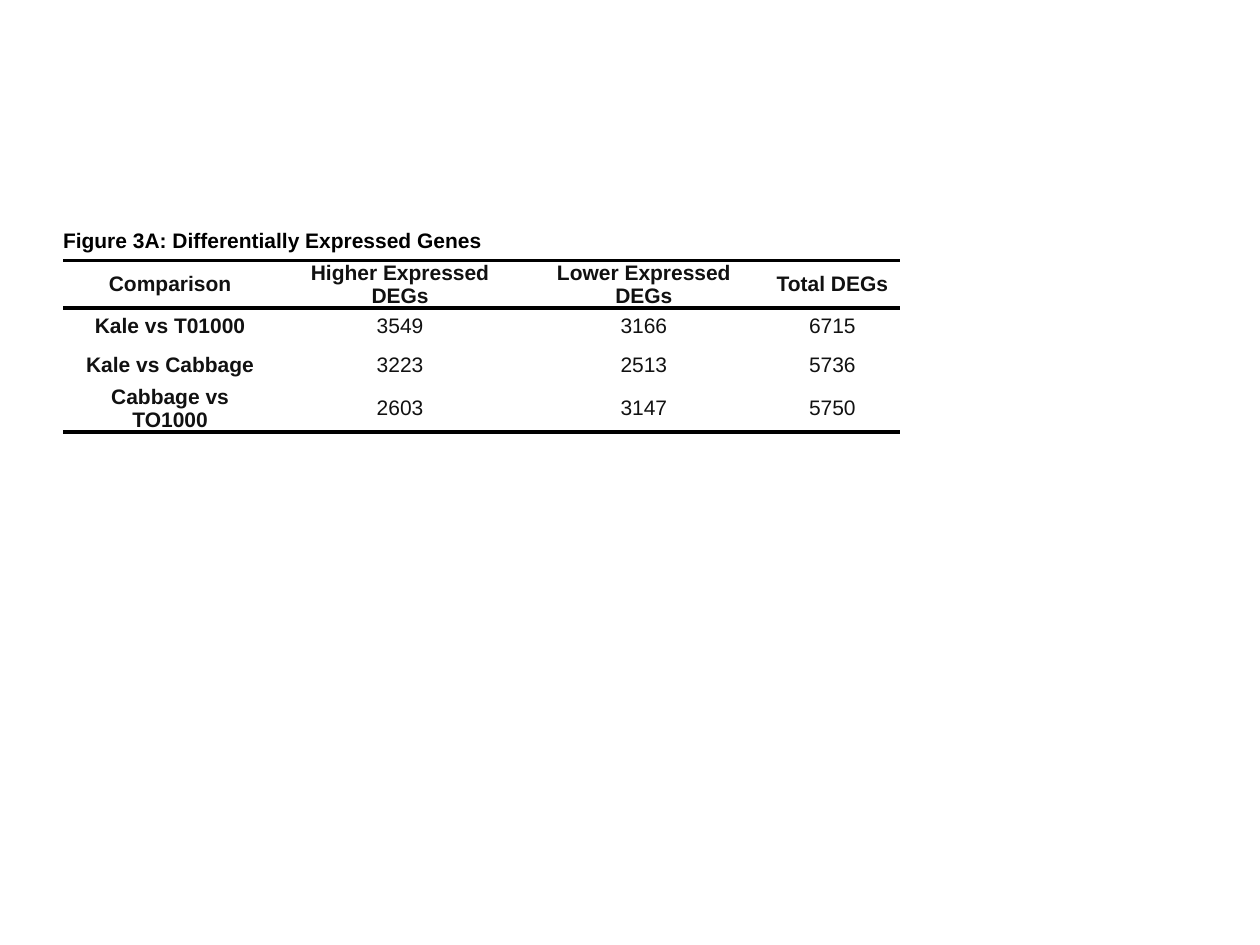
"""Build a slide with a table of differentially expressed genes."""
from lxml.etree import SubElement
from pptx import Presentation
from pptx.dml.color import RGBColor
from pptx.enum.text import MSO_ANCHOR, PP_ALIGN
from pptx.oxml.ns import qn
from pptx.util import Cm, Pt


def color(hex_code):
    return RGBColor.from_string(hex_code)


def add_rule(cell, side):
    line = SubElement(cell._tc.get_or_add_tcPr(), qn(f"a:{side}"), w=str(Pt(2)))
    fill = SubElement(line, qn("a:solidFill"))
    SubElement(fill, qn("a:srgbClr"), val="000000")


TITLE = "Figure 3A: Differentially Expressed Genes"
GENE_COUNTS = [
    ["Comparison", "Higher Expressed DEGs", "Lower Expressed DEGs", "Total DEGs"],
    ["Kale vs T01000", "3549", "3166", "6715"],
    ["Kale vs Cabbage", "3223", "2513", "5736"],
    ["Cabbage vs TO1000", "2603", "3147", "5750"],
]
COLUMN_WIDTHS = [4.32, 4.95, 4.88, 2.72]
ROW_HEIGHTS = [0.81, 0.81, 0.74, 0.81, 0.81]
RULES = {1: ["lnT", "lnB"], 4: ["lnB"]}
CELL_FORMAT = {
    "margin_left": 0, "margin_right": 0, "margin_top": 0, "margin_bottom": 0,
    "vertical_anchor": MSO_ANCHOR.MIDDLE,
}
ENTRY_FORMAT = {
    "alignment": PP_ALIGN.CENTER, "space_before": Pt(2), "space_after": Pt(2),
}
NO_STYLE = "{2D5ABB26-0587-4C30-8999-92F81FD0307C}"

presentation = Presentation()
presentation.slide_width, presentation.slide_height = Cm(25.4), Cm(19.05)
slide = presentation.slides.add_slide(presentation.slide_layouts[6])

genes = slide.shapes.add_table(
    len(ROW_HEIGHTS), len(COLUMN_WIDTHS), Cm(1.27), Cm(4.45),
    Cm(sum(COLUMN_WIDTHS)), Cm(sum(ROW_HEIGHTS)),
).table
genes.first_row = genes.horz_banding = False
genes._tbl.tblPr.find(qn("a:tableStyleId")).text = NO_STYLE
for column, width in zip(genes.columns, COLUMN_WIDTHS):
    column.width = Cm(width)
for row, height in zip(genes.rows, ROW_HEIGHTS):
    row.height = Cm(height)
genes.cell(0, 0).merge(genes.cell(0, len(COLUMN_WIDTHS) - 1))

for row_index, entries in enumerate([[TITLE], *GENE_COUNTS]):
    for column_index, entry in enumerate(entries):
        cell = genes.cell(row_index, column_index)
        for attribute, value in CELL_FORMAT.items():
            setattr(cell, attribute, value)
        for side in RULES.get(row_index, []):
            add_rule(cell, side)
        cell.fill.background()
        cell.text = entry
        paragraph = cell.text_frame.paragraphs[0]
        if row_index > 0:
            for attribute, value in ENTRY_FORMAT.items():
                setattr(paragraph, attribute, value)
            for indent in ("marL", "marR"):
                paragraph._p.get_or_add_pPr().set(indent, str(Cm(0.18)))
        font = paragraph.runs[0].font
        font_format = {
            "name": "Arial", "size": Pt(12),
            "bold": row_index < 2 or column_index == 0,
        }
        for attribute, value in font_format.items():
            setattr(font, attribute, value)
        font.color.rgb = color("111111" if row_index else "000000")

presentation.save("out.pptx")
